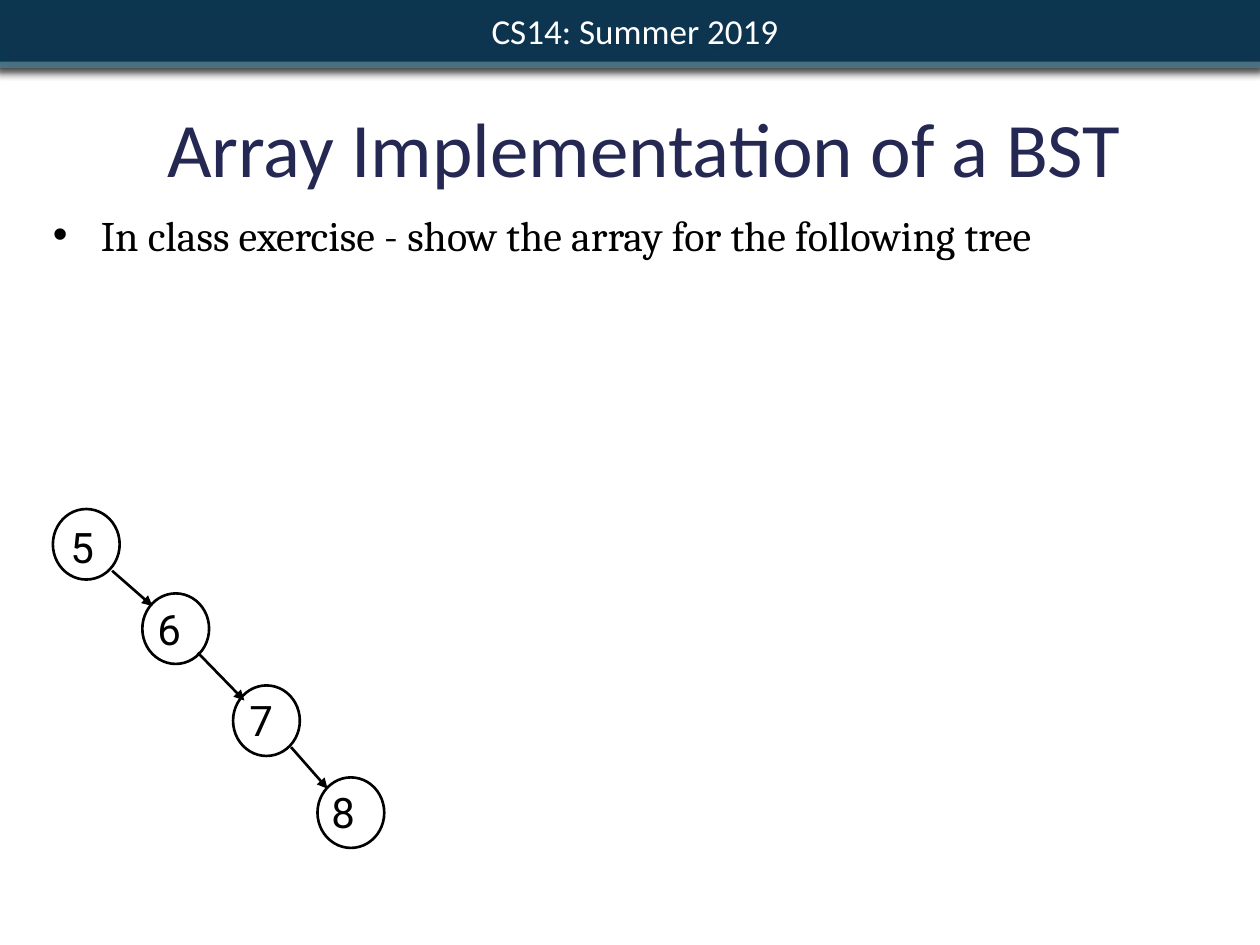
from lxml.etree import SubElement
from pptx import Presentation
from pptx.dml.color import RGBColor
from pptx.enum.shapes import MSO_CONNECTOR, MSO_SHAPE
from pptx.enum.text import MSO_ANCHOR, PP_ALIGN
from pptx.oxml.ns import qn
from pptx.util import Inches, Pt

TEAL = RGBColor(0x42, 0x7A, 0x92)
NAVY = RGBColor(0x06, 0x2F, 0x4B)
INDIGO = RGBColor(0x24, 0x28, 0x52)
GREY = RGBColor(0x5E, 0x5E, 0x5E)
BLACK = RGBColor(0, 0, 0)
WHITE = RGBColor(255, 255, 255)

NODE_W, NODE_H = 0.53, 0.56
NODES = [
    ("5", (0.42, 4.04), (0.51, 4.09)),
    ("6", (1.13, 4.71), (1.2, 4.74)),
    ("7", (1.85, 5.44), (1.93, 5.46)),
    ("8", (2.52, 6.17), (2.58, 6.19)),
]
EDGES = [
    ((0.89, 4.53), (1.21, 4.81)),
    ((1.57, 5.18), (1.94, 5.56)),
    ((2.31, 5.93), (2.6, 6.26)),
]


def write(s, text, font="Calibri", size=24, color=BLACK, align=PP_ALIGN.LEFT,
          anchor=MSO_ANCHOR.TOP, inset=0.05, wrap=True, spacing=None,
          before=0, margin=0, indent=0, bullet=None):
    tf = s.text_frame
    tf.word_wrap = wrap
    tf.vertical_anchor = anchor
    tf.margin_left = tf.margin_right = Inches(inset)
    tf.margin_top = tf.margin_bottom = Inches(inset)
    p = tf.paragraphs[0]
    p.alignment = align
    p.space_before = Pt(before)
    if spacing:
        p.line_spacing = Pt(spacing)
    pPr = p._p.get_or_add_pPr()
    pPr.set("marL", str(Inches(margin)))
    pPr.set("indent", str(Inches(indent)))
    if bullet:
        SubElement(pPr, qn("a:buFont"), typeface="Arial")
        SubElement(pPr, qn("a:buChar"), char=bullet)
    r = p.add_run()
    r.text = text
    r.font.name = font
    r.font.size = Pt(size)
    r.font.color.rgb = color


class Deck:
    def __init__(self, line_color=BLACK, line_width=1.5):
        self.prs = Presentation()
        self.prs.slide_width, self.prs.slide_height = Inches(10), Inches(7.5)
        self.slide = self.prs.slides.add_slide(self.prs.slide_layouts[6])
        self.line_color = line_color
        self.line_width = Pt(line_width)

    def outline(self, s):
        s.line.color.rgb = self.line_color
        s.line.width = self.line_width

    def bar(self, x, y, w, h, fill, shadow, shadow_alpha, alpha=100):
        s = self.slide.shapes.add_shape(MSO_SHAPE.RECTANGLE, *map(Inches, (x, y, w, h)))
        s.fill.solid()
        s.fill.fore_color.rgb = fill
        s.line.fill.background()
        s.shadow.inherit = False
        spPr = s._element.spPr
        color = spPr.find(qn("a:solidFill"))[0]
        SubElement(color, qn("a:alpha"), val=str(alpha * 1000))
        outer = SubElement(spPr.find(qn("a:effectLst")), qn("a:outerShdw"),
                           blurRad=str(Pt(5)), dist=str(Pt(2)),
                           dir="5400000", rotWithShape="0")
        color = SubElement(outer, qn("a:srgbClr"), val=str(shadow))
        SubElement(color, qn("a:alpha"), val=str(shadow_alpha * 1000))
        return s

    def text(self, text, x, y, w, h, **style):
        s = self.slide.shapes.add_textbox(*map(Inches, (x, y, w, h)))
        write(s, text, **style)

    def node(self, label, at, label_at):
        s = self.slide.shapes.add_shape(
            MSO_SHAPE.OVAL, *map(Inches, (*at, NODE_W, NODE_H)))
        s.fill.background()
        s.shadow.inherit = False
        self.outline(s)
        self.text(label, *label_at, 0.3, 0.5, font="Roboto",
                  anchor=MSO_ANCHOR.MIDDLE, wrap=False)

    def arrow(self, start, end):
        s = self.slide.shapes.add_connector(
            MSO_CONNECTOR.STRAIGHT, *map(Inches, (*start, *end)))
        self.outline(s)
        SubElement(s.line._get_or_add_ln(), qn("a:tailEnd"), type="triangle")
        SubElement(s._element.spPr, qn("a:effectLst"))


def main():
    deck = Deck()
    deck.bar(-0.04, 0, 10.07, 0.54, TEAL, BLACK, 75)
    header = deck.bar(-0.01, 0, 10.03, 0.49, NAVY, GREY, 50, alpha=90)
    write(header, "CS14: Summer 2019", size=20, color=WHITE, inset=0.06,
          align=PP_ALIGN.CENTER, anchor=MSO_ANCHOR.MIDDLE, indent=0.07)
    deck.text("Array Implementation of a BST", 0.67, 0.33, 8.89, 1.25,
              size=44, color=INDIGO, align=PP_ALIGN.CENTER,
              anchor=MSO_ANCHOR.BOTTOM, spacing=58)
    deck.text("In class exercise - show the array for the following tree",
              0.37, 1.61, 9, 4.95, font="Cambria", before=5,
              margin=0.38, indent=-0.38, bullet="•")
    for label, at, label_at in NODES:
        deck.node(label, at, label_at)
    for start, end in EDGES:
        deck.arrow(start, end)
    deck.prs.save("out.pptx")


if __name__ == "__main__":
    main()
